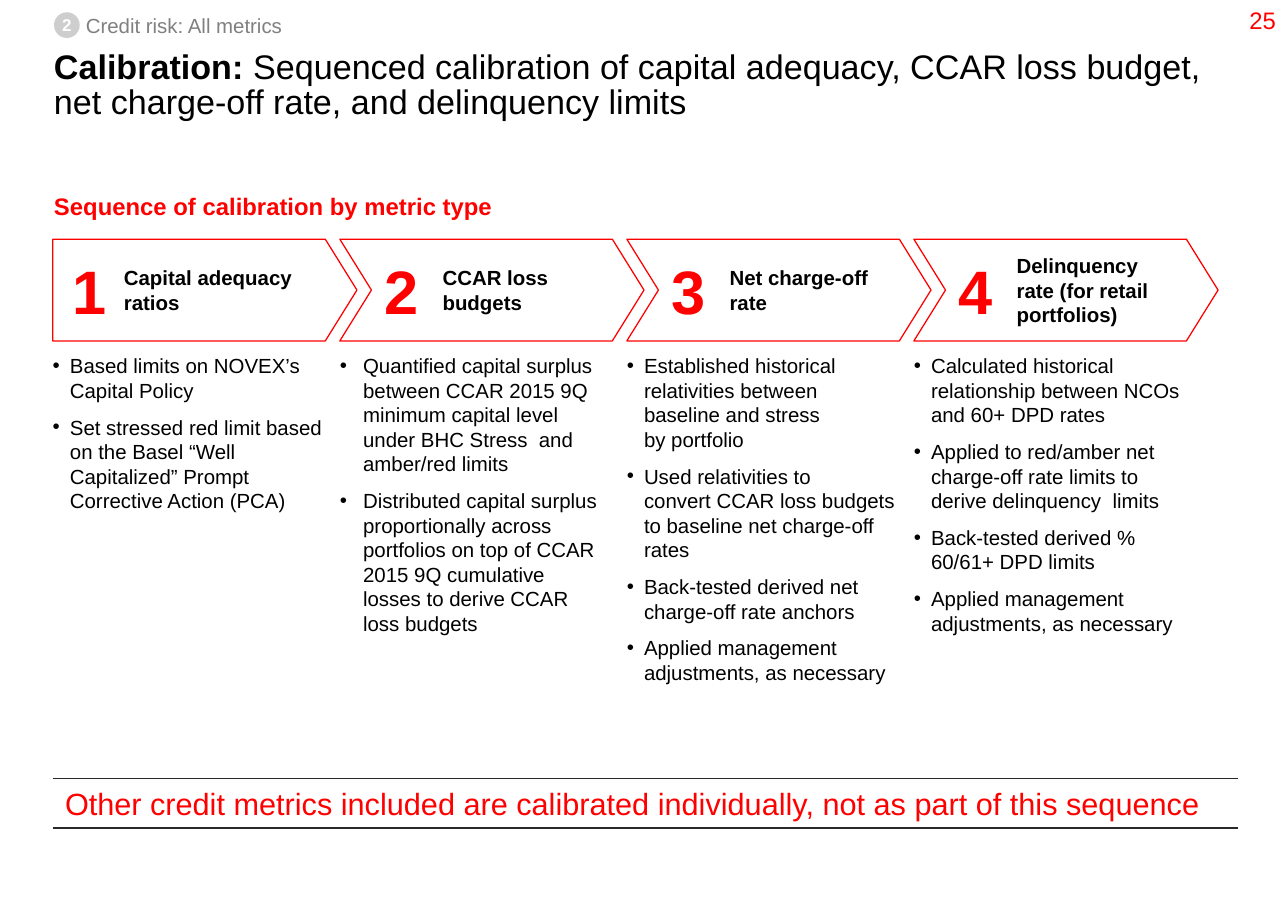
import pptx
import pptx.dml.color
import pptx.enum.shapes
import pptx.enum.text
import pptx.oxml
import pptx.oxml.ns
import pptx.util

Inches = pptx.util.Inches
Pt = pptx.util.Pt
RGBColor = pptx.dml.color.RGBColor
Shape = pptx.enum.shapes.MSO_SHAPE
Align = pptx.enum.text.PP_ALIGN
Anchor = pptx.enum.text.MSO_ANCHOR

RED = RGBColor(0xFF, 0x00, 0x00)
BLACK = RGBColor(0x00, 0x00, 0x00)
WHITE = RGBColor(0xFF, 0xFF, 0xFF)
GREY = RGBColor(0x80, 0x80, 0x80)
BADGE = RGBColor(0xCE, 0xCE, 0xCE)
RULE = RGBColor(0x29, 0x29, 0x29)

LEFT = 0.43
COLUMN_STEP = 2.34
ARROW_TOP, ARROW_WIDTH, ARROW_HEIGHT = 1.95, 2.48, 0.83
LIST_TOP, LIST_WIDTH = 2.88, 2.2

STEPS = [
    ("Capital adequacy ratios", Shape.PENTAGON, 0.54, 0.14, 1.33, [
        "Based limits on NOVEX’s Capital Policy",
        "Set stressed red limit based on the Basel “Well Capitalized” Prompt Corrective Action (PCA)",
    ]),
    ("CCAR loss budgets", Shape.CHEVRON, 0.74, 0.19, 2.34, [
        "Quantified capital surplus between CCAR 2015 9Q minimum capital level "
        "under BHC Stress  and amber/red limits",
        "Distributed capital surplus proportionally across portfolios on top of CCAR "
        "2015 9Q cumulative\nlosses to derive CCAR loss budgets",
    ]),
    ("Net charge-off rate", Shape.CHEVRON, 0.74, 0.14, 2.79, [
        "Established historical relativities between baseline and stress\nby portfolio",
        "Used relativities to\nconvert CCAR loss budgets to baseline net charge-off rates",
        "Back-tested derived net charge-off rate anchors",
        "Applied management adjustments, as necessary",
    ]),
    ("Delinquency rate (for retail portfolios)", Shape.CHEVRON, 0.74, 0.14, 2.38, [
        "Calculated historical relationship between NCOs and 60+ DPD rates",
        "Applied to red/amber net charge-off rate limits to derive delinquency  limits",
        "Back-tested derived % 60/61+ DPD limits",
        "Applied management adjustments, as necessary",
    ]),
]


def write(para, text, size=12, color=BLACK, bold=False, align=Align.LEFT, font="Arial"):
    para.alignment = align
    for number, line in enumerate(text.split("\n")):
        if number:
            para.add_line_break()
        span = para.add_run()
        span.text = line
        span.font.name = font
        span.font.size = Pt(size)
        span.font.bold = bold
        span.font.color.rgb = color


class Page:
    def __init__(self, deck):
        self.slide = deck.slides.add_slide(deck.slide_layouts.get_by_name("Comparison"))
        self.shapes = self.slide.shapes
        self.bodies = [box for box in self.slide.placeholders if box.placeholder_format.idx]

    def frame(self, box, insets=(0, 0, 0, 0), anchor=Anchor.TOP):
        frame = box.text_frame
        frame.word_wrap = True
        frame.auto_size = pptx.enum.text.MSO_AUTO_SIZE.NONE
        frame.vertical_anchor = anchor
        frame.margin_left, frame.margin_top, frame.margin_right, frame.margin_bottom = map(Inches, insets)
        return frame

    def place(self, box, left, top, width, height):
        box.left, box.top = Inches(left), Inches(top)
        box.width, box.height = Inches(width), Inches(height)

    def title(self, lead, rest):
        box = self.shapes.title
        self.place(box, 0.44, 0.42, 9.62, 0.8)
        para = self.frame(box).paragraphs[0]
        para.line_spacing = 0.86
        write(para, lead, size=20, bold=True)
        write(para, rest, size=20)

    def text(self, text, left, top, width, height, insets=(0, 0, 0, 0), anchor=Anchor.TOP, **style):
        box = self.shapes.add_textbox(Inches(left), Inches(top), Inches(width), Inches(height))
        write(self.frame(box, insets, anchor).paragraphs[0], text, **style)

    def shape(self, kind, text, left, top, width, height, insets=(0, 0, 0, 0),
              fill=None, line=None, point=None, **style):
        box = self.shapes.add_shape(kind, Inches(left), Inches(top), Inches(width), Inches(height))
        box.shadow.inherit = False
        if point is not None:
            box.adjustments[0] = point
        if fill is None:
            box.fill.background()
        else:
            box.fill.solid()
            box.fill.fore_color.rgb = fill
        if line is None:
            box.line.fill.background()
        else:
            box.line.color.rgb = line
            box.line.width = Pt(0.75)
        write(self.frame(box, insets, Anchor.MIDDLE).paragraphs[0], text, **style)

    def bullets(self, box, items, left, top, width, height, indent):
        self.place(box, left, top, width, height)
        frame = self.frame(box)
        for number, item in enumerate(items):
            para = frame.add_paragraph() if number else frame.paragraphs[0]
            properties = para._p.get_or_add_pPr()
            properties.set("marL", str(Inches(indent)))
            properties.set("indent", str(-Inches(indent)))
            bullet = pptx.oxml.parse_xml(f'<a:buChar {pptx.oxml.ns.nsdecls("a")} char="•"/>')
            properties.append(bullet)
            para.space_before = Pt(7.2 if number else 0)
            write(para, item)

    def banner(self, text, left, top, width, height, **style):
        table = self.shapes.add_table(1, 1, Inches(left), Inches(top), Inches(width), Inches(height)).table
        table.first_row = table.horz_banding = False
        cell = table.cell(0, 0)
        cell.vertical_anchor = Anchor.BOTTOM
        cell.fill.background()
        rule = f'<a:solidFill><a:srgbClr val="{RULE}"/></a:solidFill>'
        edges = {"lnL": "<a:noFill/>", "lnR": "<a:noFill/>", "lnT": rule, "lnB": rule}
        for number, (edge, paint) in enumerate(edges.items()):
            border = pptx.oxml.parse_xml(
                f'<a:{edge} {pptx.oxml.ns.nsdecls("a")} w="{Pt(0.75)}">{paint}</a:{edge}>')
            cell._tc.get_or_add_tcPr().insert(number, border)
        para = cell.text_frame.paragraphs[0]
        para.line_spacing = 0.86
        write(para, text, **style)


def main():
    deck = pptx.Presentation()
    deck.slide_width, deck.slide_height = Inches(10.5), Inches(7.5)
    page = Page(deck)
    page.title("Calibration: ", "Sequenced calibration of capital adequacy, CCAR loss budget, "
               "net charge-off rate, and delinquency limits")
    page.shape(Shape.OVAL, "2", 0.44, 0.1, 0.21, 0.21, fill=BADGE,
               size=10, color=WHITE, bold=True, align=Align.CENTER)
    page.text("Credit risk: All metrics", 0.7, 0.11, 1.7, 0.2, color=GREY)
    page.text("25", 10.06, 0, 0.44, 0.42, insets=(0, 0.05, 0.1, 0.05),
              size=14, color=RED, align=Align.RIGHT)
    page.text("Sequence of calibration by metric type", 0.44, 1.56, 4.31, 0.37,
              size=14, color=RED, bold=True)

    for number, (name, kind, number_width, indent, list_height, items) in enumerate(STEPS):
        left = LEFT + number * COLUMN_STEP
        page.shape(kind, name, left, ARROW_TOP, ARROW_WIDTH, ARROW_HEIGHT,
                   insets=(0.58, 0.05, 0.05, 0.05), line=RED, point=0.311, bold=True)
        page.text(str(number + 1), left, ARROW_TOP, number_width, ARROW_HEIGHT,
                  insets=(0, 0.05, 0.1, 0.05), anchor=Anchor.MIDDLE,
                  size=36, color=RED, bold=True, align=Align.RIGHT)
        page.bullets(page.bodies[number], items, left, LIST_TOP, LIST_WIDTH, list_height, indent)

    page.banner("Other credit metrics included are calibrated individually, not as part of this sequence",
                LEFT, 6.35, 9.66, 0.4, size=18, color=RED)
    deck.save("out.pptx")


if __name__ == "__main__":
    main()
